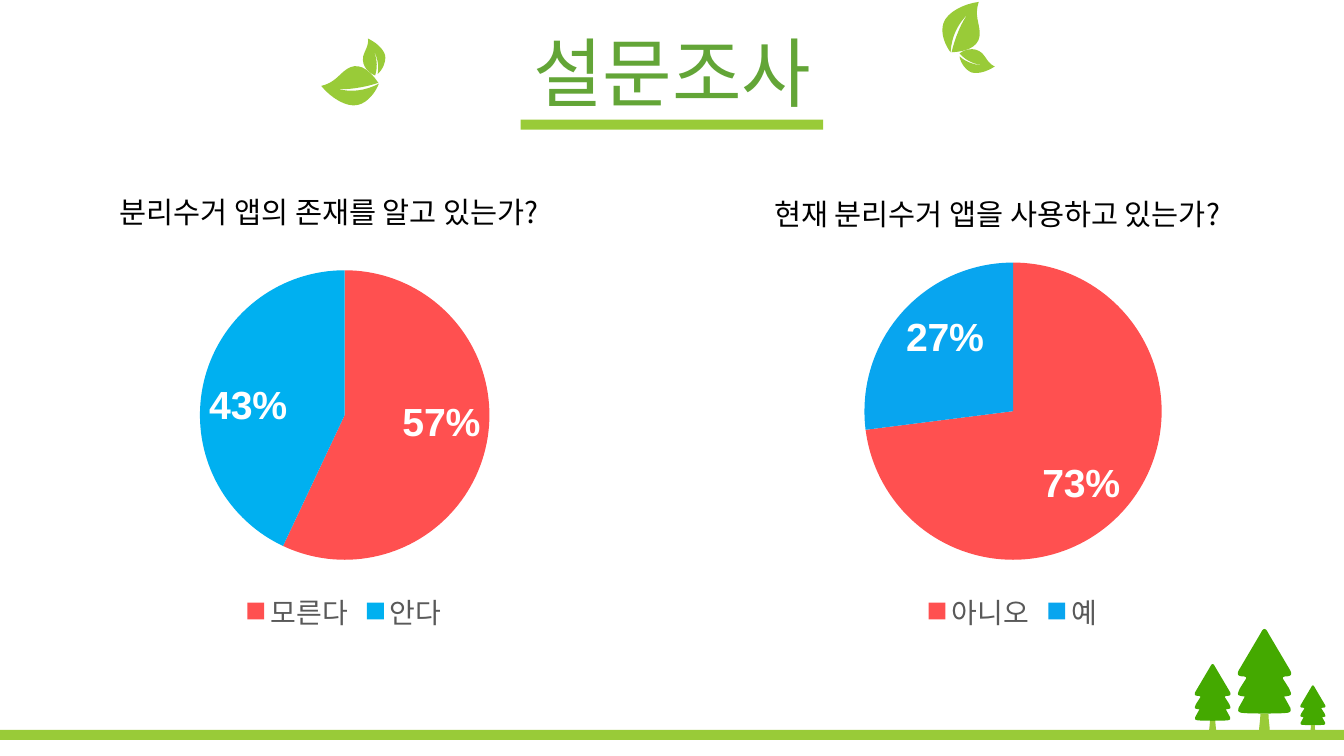
from math import cos, radians, sin

from lxml.etree import SubElement
from pptx import Presentation
from pptx.chart.data import CategoryChartData
from pptx.dml.color import RGBColor
from pptx.enum.chart import XL_CHART_TYPE, XL_LABEL_POSITION, XL_LEGEND_POSITION
from pptx.enum.shapes import MSO_SHAPE
from pptx.enum.text import MSO_ANCHOR, PP_ALIGN
from pptx.oxml.ns import qn
from pptx.util import Pt

WIDE, HIGH = 960, 540
HUES = {
    "lime": "99CB38", "pine": "44A900", "title": "63A537", "black": "000000",
    "gray": "595959", "white": "FFFFFF", "red": "FF5050", "sky": "00B0F0",
    "blue": "08A5EF",
}
KOREAN, LATIN = "Noto Sans CJK KR", "Arial"

# Outlines in points: pairs are straight steps, sixes are Bezier curves.
# Tree parts are right halves, measured from the foot of the trunk.
CROWN = [
    (0, -76), (1, -76, 2, -74.5, 2.7, -73), (18.4, -46.4),
    (19.8, -43.5, 19, -42.3, 15.5, -42.1), (12.5, -42, 12.6, -41, 14, -39.2),
    (17.6, -33.5), (19.8, -28.5, 19.8, -28.5, 14, -27.7), (18.4, -19.8),
    (19, -17.6, 19, -17, 17, -16.2), (12, -15.5, 6, -15.7, 0, -15.5),
]
TRUNK = [
    (0, -15.5), (2.9, -15.5), (2.9, -12, 3.5, -8, 3.8, -4.7),
    (3.6, -1, 2, 0, 0, 0),
]
# Leaves are measured from the middle of the big leaf.
LEAVES = [
    [
        (-10.4, 17.6), (-9.7, 6.1, -5.4, -2.5, 2.5, -10.4),
        (-2.5, -4.7, -7.6, 8.3, -9.7, 17.6), (4, 17, 10.8, 12, 10.4, 3.5),
        (10.2, -3, 6.5, -9, 9.7, -18.4), (-1, -17, -13, -11, -15.5, -3.2),
        (-18, 4, -14, 13, -10.4, 17.6),
    ],
    [
        (14.8, 27), (7.6, 27, 1, 25, -4, 20.5), (-3.4, 25, 0.5, 30.5, 4.7, 32),
        (10, 33.5, 17, 30.5, 21.2, 27.7), (18, 26.5, 16, 23.5, 14, 20.5),
        (9.5, 13.5, 1, 14.5, -4, 18.4), (1, 24, 7, 26.5, 14.8, 27),
    ],
]


def hue(name):
    return RGBColor.from_string(HUES[name])


def trace(path, steps=8):
    """Turn an outline into a list of points."""
    dots = [path[0]]
    for step in path[1:]:
        if len(step) == 2:
            dots.append(step)
            continue
        x, y = dots[-1]
        a, b, c, d, e, f = step
        for i in range(1, steps + 1):
            t = i / steps
            u = 1 - t
            p, q, r, s = u ** 3, 3 * u * u * t, 3 * u * t * t, t ** 3
            dots.append((p * x + q * a + r * c + s * e,
                         p * y + q * b + r * d + s * f))
    return dots


def paint(shape, color):
    shape.shadow.inherit = False
    shape.fill.solid()
    shape.fill.fore_color.rgb = hue(color)
    shape.line.fill.background()


def draw(slide, dots, x, y, color, size=1, turn=0):
    """Fill an outline placed at x, y after scaling and turning it."""
    c, s = size * cos(radians(turn)), size * sin(radians(turn))
    spots = [(Pt(x + a * c - b * s), Pt(y + a * s + b * c)) for a, b in dots]
    form = slide.shapes.build_freeform(*spots[0], scale=1.0)
    form.add_line_segments(spots[1:], close=True)
    paint(form.convert_to_shape(), color)


def tree(slide, x, y, size):
    for half, color in ((CROWN, "pine"), (TRUNK, "lime")):
        right = trace(half)
        left = [(-a, b) for a, b in reversed(right)]
        draw(slide, right + left[1:-1], x, y, color, size)


def sprig(slide, x, y, turn):
    for leaf in LEAVES:
        draw(slide, trace(leaf), x, y, "lime", turn=turn)


def bar(slide, x, y, w, h):
    shape = slide.shapes.add_shape(
        MSO_SHAPE.RECTANGLE, Pt(x), Pt(y), Pt(w), Pt(h))
    paint(shape, "lime")


def write(slide, text, box, size, color="black", align=PP_ALIGN.LEFT,
          anchor=MSO_ANCHOR.TOP, wrap=True, space=1.0):
    frame = slide.shapes.add_textbox(*map(Pt, box)).text_frame
    frame.word_wrap = wrap
    frame.vertical_anchor = anchor
    para = frame.paragraphs[0]
    para.alignment = align
    para.line_spacing = space
    run = para.add_run()
    run.text = text
    font = run.font
    font.size, font.name = Pt(size), KOREAN
    font.color.rgb = hue(color)
    SubElement(font._element, qn("a:ea"), typeface=KOREAN)


def style(font, size, color, bold=False):
    font.name, font.size, font.bold = LATIN, Pt(size), bold
    font.color.rgb = hue(color)


def place(chart, top, high, ratio):
    """Centre a round plot in the chart; sizes are parts of its height."""
    area = chart._chartSpace.chart.plotArea
    for old in area.findall(qn("c:layout")):
        area.remove(old)
    layout = SubElement(area, qn("c:layout"))
    area.insert(0, layout)
    inner = SubElement(layout, qn("c:manualLayout"))
    wide = high / ratio
    for tag, val in (("layoutTarget", "inner"), ("xMode", "edge"),
                     ("yMode", "edge"), ("x", (1 - wide) / 2), ("y", top),
                     ("w", wide), ("h", high)):
        SubElement(inner, qn("c:" + tag), val=str(val))


def pie(slide, box, names, vals, colors, top, high):
    data = CategoryChartData()
    data.categories = names
    data.add_series("Series 1", vals)
    chart = slide.shapes.add_chart(
        XL_CHART_TYPE.PIE, *map(Pt, box), data).chart
    style(chart.font, 10, "black")
    chart.has_title = False
    chart.has_legend = True
    key = chart.legend
    key.position = XL_LEGEND_POSITION.BOTTOM
    key.include_in_layout = False
    style(key.font, 20, "gray")
    plot = chart.plots[0]
    plot.vary_by_categories = True
    for i, color in enumerate(colors):
        part = plot.series[0].points[i].format
        part.fill.solid()
        part.fill.fore_color.rgb = hue(color)
        part.line.fill.background()
    tags = plot.series[0].data_labels
    tags.show_percentage = True
    tags.show_value = False
    tags.number_format, tags.number_format_is_linked = "0%", False
    tags.position = XL_LABEL_POSITION.INSIDE_END
    style(tags.font, 28, "white", bold=True)
    place(chart, top, high, box[2] / box[3])


def scene(slide):
    """Trees, leaves and ground."""
    for x, size in ((903.2, 1), (937.8, 0.47), (866.2, 0.67)):
        tree(slide, x, 525.3, size)
    sprig(slide, 689.4, 19.8, 0)
    sprig(slide, 250.2, 60.1, 238.6)
    bar(slide, 0, 521.3, WIDE, 7.2)


def header(slide, x, y, w, h):
    bar(slide, WIDE / 2 - 108, y + h + 2, 216, 7.2)
    write(slide, "설문조사", (x, y, w, h), 54, color="title",
          align=PP_ALIGN.CENTER, anchor=MSO_ANCHOR.MIDDLE, space=0.9)


def poll(slide, x, y, ask, shift, names, vals, colors, top, high):
    """A question above its pie; shift places the question against x, y."""
    pie(slide, (x, y, 413.3, 275.8), names, vals, colors, top, high)
    write(slide, ask, (x + shift[0], y + shift[1], 373, 32.4), 21, wrap=False)


def main():
    deck = Presentation()
    deck.slide_width, deck.slide_height = Pt(WIDE), Pt(HIGH)
    slide = deck.slides.add_slide(deck.slide_layouts[6])
    scene(slide)
    header(slide, 24.5, 26.6, 911.5, 56.9)
    poll(slide, 39.6, 179.3, "분리수거 앱의 존재를 알고 있는가?", (38.9, -43.9),
         ("모른다", "안다"), (57, 43), ("red", "sky"), 0.05, 0.75)
    poll(slide, 517, 179.3, "현재 분리수거 앱을 사용하고 있는가?", (28.8, -42.5),
         ("아니오", "예"), (73, 27), ("red", "blue"), 0.03, 0.77)
    deck.save("out.pptx")


if __name__ == "__main__":
    main()
